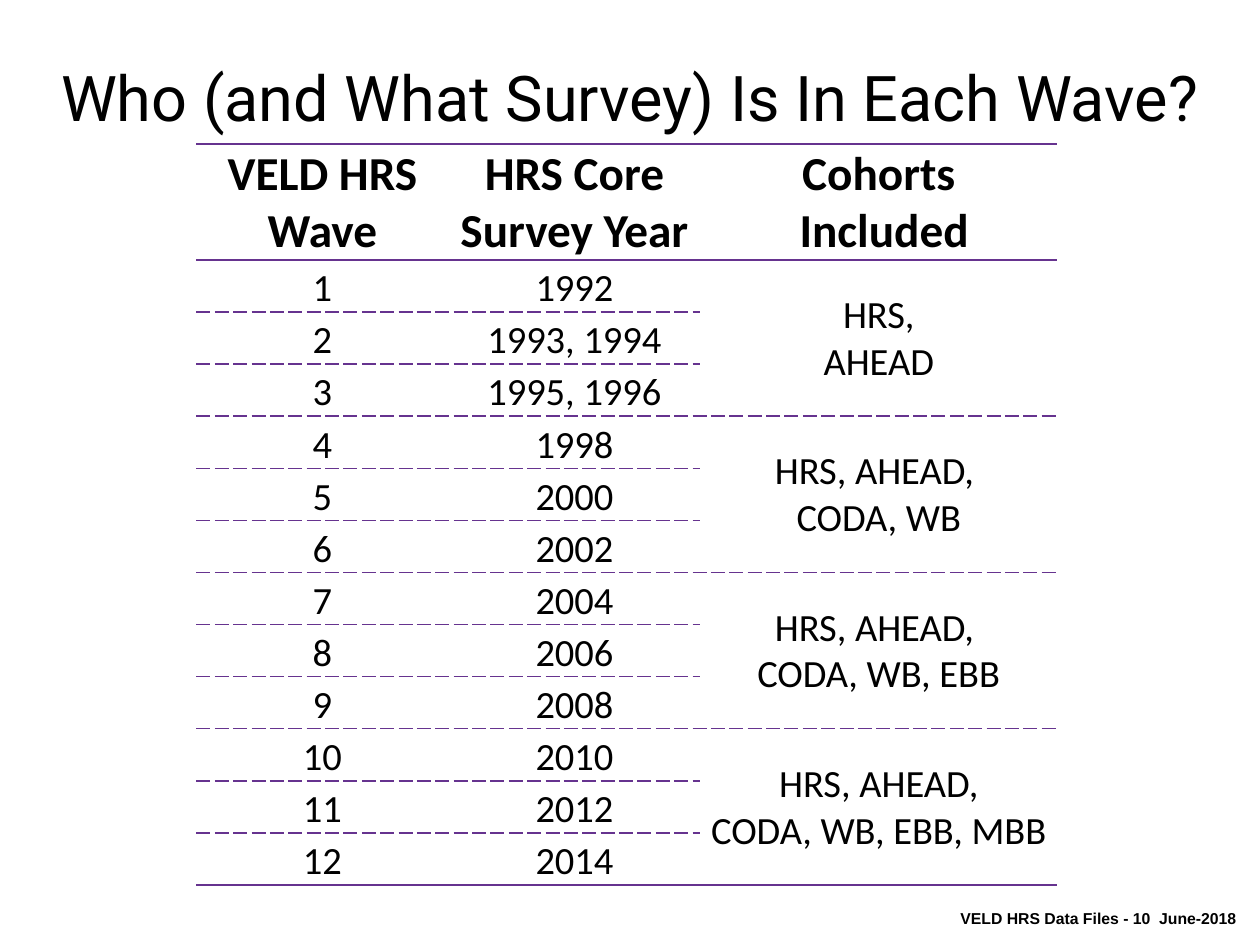
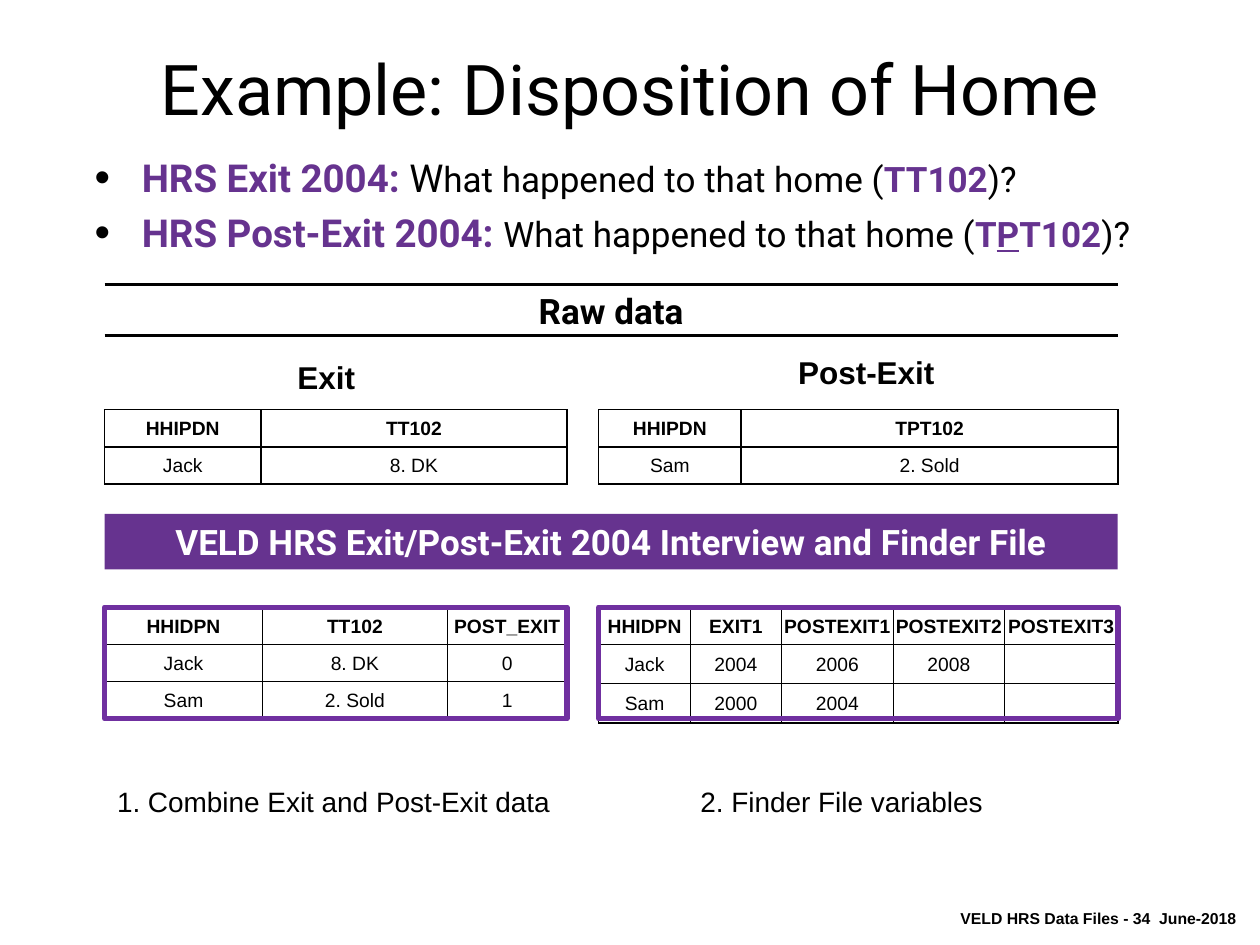
"""Build two slides on survey waves and exit interview files."""
from dataclasses import dataclass, replace
from typing import NamedTuple, Optional

from lxml.etree import SubElement
from pptx import Presentation
from pptx.dml.color import RGBColor
from pptx.enum.shapes import MSO_CONNECTOR, MSO_SHAPE
from pptx.enum.text import MSO_ANCHOR, MSO_AUTO_SIZE, PP_ALIGN
from pptx.oxml.ns import qn
from pptx.util import Cm, Pt

BLACK, WHITE, PURPLE, FRAME = "000000", "FFFFFF", "66338F", "7030A0"


@dataclass(frozen=True)
class TypeStyle:
    name: str
    size: float
    bold: bool = False
    color: str = BLACK
    underline: bool = False


@dataclass(frozen=True)
class Theme:
    title: TypeStyle = TypeStyle("Roboto", 36)
    large_title: TypeStyle = TypeStyle("Roboto", 40)
    footer: TypeStyle = TypeStyle("Arial", 9, True)
    wave_head: TypeStyle = TypeStyle("Calibri", 27, True)
    wave_body: TypeStyle = TypeStyle("Calibri", 22)
    lead: TypeStyle = TypeStyle("Roboto", 22, True, PURPLE)
    initial: TypeStyle = TypeStyle("Roboto", 22)
    question: TypeStyle = TypeStyle("Roboto", 20)
    variable: TypeStyle = TypeStyle("Roboto", 20, True, PURPLE)
    band: TypeStyle = TypeStyle("Roboto", 20, True)
    group: TypeStyle = TypeStyle("Arial", 18, True)
    note: TypeStyle = TypeStyle("Arial", 16)
    data_head: TypeStyle = TypeStyle("Arial", 11, True)
    data_body: TypeStyle = TypeStyle("Arial", 11)


THEME = Theme()


class Span(NamedTuple):
    text: str
    style: TypeStyle


class Area(NamedTuple):
    left: float
    top: float
    width: float
    height: float

    def lengths(self) -> list:
        return [Cm(value) for value in self]


class Edge(NamedTuple):
    color: str
    dash: str = "solid"


class Label(NamedTuple):
    text: str
    area: Area
    style: TypeStyle
    align: PP_ALIGN = PP_ALIGN.CENTER


class DataTable(NamedTuple):
    left: float
    top: float
    columns: tuple
    rows: tuple
    framed: bool = False


NO_INSETS = dict.fromkeys(("margin_left", "margin_top", "margin_right", "margin_bottom"), 0)
CELL_INSETS = {"margin_left": Cm(0.03), "margin_right": Cm(0.03),
               "margin_top": Cm(0.03), "margin_bottom": 0}
PLAIN_TABLE = {"first_row": False, "horz_banding": False}
SOLID, DASHED, GRID = Edge(PURPLE), Edge(PURPLE, "dash"), Edge(BLACK)

WAVE_HEADINGS = ("VELD HRS Wave", "HRS Core Survey Year", "Cohorts\n Included")
SURVEY_YEARS = ("1992", "1993, 1994", "1995, 1996", "1998", "2000", "2002",
                "2004", "2006", "2008", "2010", "2012", "2014")
COHORTS = ("HRS,\nAHEAD", "HRS, AHEAD, \nCODA, WB", "HRS, AHEAD, \nCODA, WB, EBB",
           "HRS, AHEAD,\nCODA, WB, EBB, MBB")
WAVES_PER_COHORT = 3

LEFT, RIGHT_HALF, FULL_WIDTH = 2.11, 12.07, 20.42
RULE_TOPS = (5.74, 6.76)
DATA_ROW = 0.75
LABELS = (
    Label("Exit", Area(3.38, 7.09, 6.4, 1.02), THEME.group),
    Label("Post-Exit", Area(15.24, 6.99, 4.45, 1.02), THEME.group),
    Label("Raw data", Area(LEFT, 5.72, FULL_WIDTH, 1.12), THEME.band),
    Label("1. Combine Exit and Post-Exit data", Area(LEFT, 15.7, 9.32, 0.94),
          THEME.note, PP_ALIGN.LEFT),
    Label("2. Finder File variables", Area(13.87, 15.7, 7.19, 0.94),
          THEME.note, PP_ALIGN.LEFT),
)
DATA_TABLES = (
    DataTable(LEFT, 8.26, (3.15, 6.17), (("HHIPDN", "TT102"), ("Jack", "8. DK"))),
    DataTable(RIGHT_HALF, 8.26, (2.87, 7.6), (("HHIPDN", "TPT102"), ("Sam", "2. Sold"))),
    DataTable(LEFT, 12.24, (3.18, 3.73, 2.41),
              (("HHIDPN", "TT102", "POST_EXIT"), ("Jack", "8. DK", "0"),
               ("Sam", "2. Sold", "1")), True),
    DataTable(RIGHT_HALF, 12.24, (1.85, 1.83, 2.26, 2.24, 2.29),
              (("HHIDPN", "EXIT1", "POSTEXIT1", "POSTEXIT2", "POSTEXIT3"),
               ("Jack", "2004", "2006", "2008", ""), ("Sam", "2000", "2004", "", "")), True),
)
QUESTIONS = (
    (Span("HRS Exit 2004: ", THEME.lead), Span("W", THEME.initial),
     Span("hat happened to that home (", THEME.question),
     Span("TT102", THEME.variable), Span(")?", THEME.question)),
    (Span("HRS Post-Exit 2004: ", THEME.lead),
     Span("What happened to that home (", THEME.question), Span("T", THEME.variable),
     Span("P", replace(THEME.variable, underline=True)), Span("T102", THEME.variable),
     Span(")?", THEME.question)),
)


def apply_format(target, values: dict) -> None:
    """Set each named attribute on the target."""
    for name, value in values.items():
        setattr(target, name, value)


def add_span(para, span: Span) -> None:
    """Add styled text, breaking lines where the text does."""
    style = span.style
    for index, line in enumerate(span.text.split("\n")):
        if index:
            para.add_line_break()
        run = para.add_run()
        run.text = line
        apply_format(run.font, {"name": style.name, "size": Pt(style.size),
                                "bold": style.bold, "underline": style.underline})
        run.font.color.rgb = RGBColor.from_string(style.color)


def write(frame, span: Span, align: PP_ALIGN) -> None:
    """Fill the first paragraph of a text frame."""
    para = frame.paragraphs[0]
    para.alignment = align
    add_span(para, span)


def add_label(page, label: Label, wrap: bool = True):
    """Add a text box and return it."""
    box = page.shapes.add_textbox(*label.area.lengths())
    box.text_frame.word_wrap = wrap
    write(box.text_frame, Span(label.text, label.style), label.align)
    return box


def add_page(deck, title: str, style: TypeStyle, top: float, number: int):
    """Add a slide with its title and footer."""
    page = deck.slides.add_slide(deck.slide_layouts[5])
    box = page.shapes.title
    left, top_length, width, height = Area(0, top, 25.4, 1.7).lengths()
    apply_format(box, {"left": left, "top": top_length, "width": width, "height": height})
    apply_format(box.text_frame, {**NO_INSETS, "word_wrap": True,
                                  "auto_size": MSO_AUTO_SIZE.NONE,
                                  "vertical_anchor": MSO_ANCHOR.MIDDLE})
    write(box.text_frame, Span(title, style), PP_ALIGN.CENTER)
    footer = Label(f"VELD HRS Data Files - {number}  June-2018",
                   Area(18.95, 18.24, 6.22, 0.61), THEME.footer, PP_ALIGN.RIGHT)
    add_label(page, footer, wrap=False).text_frame.paragraphs[0].line_spacing = 0.9
    return page


def set_borders(cell, edges: dict[str, Optional[Edge]]) -> None:
    """Draw the given cell edges and clear the others."""
    properties = cell._tc.get_or_add_tcPr()
    for side in "LRTB":
        edge = edges.get(side)
        line = SubElement(properties, qn(f"a:ln{side}"), w=str(Pt(1)))
        if edge is None:
            SubElement(line, qn("a:noFill"))
            continue
        fill = SubElement(line, qn("a:solidFill"))
        SubElement(fill, qn("a:srgbClr"), val=edge.color)
        SubElement(line, qn("a:prstDash"), val=edge.dash)


def add_grid(page, left: float, top: float, columns: tuple, heights: list):
    """Add an unstyled table and return it."""
    area = Area(left, top, sum(columns), sum(heights))
    table = page.shapes.add_table(len(heights), len(columns), *area.lengths()).table
    apply_format(table, PLAIN_TABLE)
    for column, width in zip(table.columns, columns):
        column.width = Cm(width)
    for row, height in zip(table.rows, heights):
        row.height = Cm(height)
    return table


def fill_cell(cell, span: Span, anchor: MSO_ANCHOR, edges: dict[str, Optional[Edge]]) -> None:
    """Write and format one table cell."""
    apply_format(cell, {**CELL_INSETS, "vertical_anchor": anchor})
    write(cell.text_frame, span, PP_ALIGN.CENTER)
    set_borders(cell, edges)
    cell.fill.background()


def add_wave_table(page) -> None:
    """Add the table of waves, survey years and cohorts."""
    count = len(SURVEY_YEARS)
    table = add_grid(page, 3.96, 2.9, (5.08, 5.08, 7.19), [2.34] + [1.05] * count)
    for column, heading in enumerate(WAVE_HEADINGS):
        fill_cell(table.cell(0, column), Span(heading, THEME.wave_head),
                  MSO_ANCHOR.BOTTOM, {"T": SOLID, "B": SOLID})
    for wave, years in enumerate(SURVEY_YEARS, 1):
        edges = {"T": SOLID if wave == 1 else DASHED, "B": SOLID if wave == count else DASHED}
        for column, text in enumerate((str(wave), years)):
            fill_cell(table.cell(wave, column), Span(text, THEME.wave_body),
                      MSO_ANCHOR.BOTTOM, edges)
    for index, cohort in enumerate(COHORTS):
        first = 1 + index * WAVES_PER_COHORT
        last = first + WAVES_PER_COHORT - 1
        cell = table.cell(first, 2)
        cell.merge(table.cell(last, 2))
        fill_cell(cell, Span(cohort, THEME.wave_body), MSO_ANCHOR.MIDDLE,
                  {"T": DASHED if index else SOLID, "B": SOLID if last == count else DASHED})


def add_rectangle(page, area: Area):
    """Add a rectangle without a shadow and return it."""
    box = page.shapes.add_shape(MSO_SHAPE.RECTANGLE, *area.lengths())
    box.shadow.inherit = False
    return box


def add_data_table(page, data: DataTable) -> None:
    """Add a gridded data table."""
    table = add_grid(page, data.left, data.top, data.columns, [DATA_ROW] * len(data.rows))
    for row, texts in enumerate(data.rows):
        style = THEME.data_body if row else THEME.data_head
        for column, text in enumerate(texts):
            fill_cell(table.cell(row, column), Span(text, style), MSO_ANCHOR.MIDDLE,
                      dict.fromkeys("LRTB", GRID))


def add_frame(page, data: DataTable) -> None:
    """Outline a data table."""
    frame = add_rectangle(page, Area(data.left, data.top, sum(data.columns),
                                     DATA_ROW * len(data.rows)))
    frame.fill.background()
    frame.line.color.rgb = RGBColor.from_string(FRAME)
    frame.line.width = Pt(3)


def add_rule(page, top: float) -> None:
    """Add a full-width horizontal rule."""
    rule = page.shapes.add_connector(MSO_CONNECTOR.STRAIGHT, Cm(LEFT), Cm(top),
                                     Cm(LEFT + FULL_WIDTH), Cm(top))
    rule.line.color.rgb = RGBColor.from_string(BLACK)
    rule.line.width = Pt(1.5)
    SubElement(rule._element.spPr, qn("a:effectLst"))


def add_questions(page) -> None:
    """Add the bulleted interview questions."""
    box = page.shapes.add_textbox(*Area(1.91, 3.1, 21.77, 1.98).lengths())
    frame = box.text_frame
    apply_format(frame, {**NO_INSETS, "word_wrap": True})
    for index, spans in enumerate(QUESTIONS):
        para = frame.add_paragraph() if index else frame.paragraphs[0]
        para.space_before = Pt(5)
        properties = para._p.get_or_add_pPr()
        properties.set("marL", str(Cm(0.95)))
        properties.set("indent", str(Cm(-0.95)))
        color = SubElement(properties, qn("a:buClr"))
        SubElement(color, qn("a:srgbClr"), val=BLACK)
        SubElement(properties, qn("a:buSzPct"), val="115000")
        SubElement(properties, qn("a:buFont"), typeface="Arial")
        SubElement(properties, qn("a:buChar"), char="•")
        for span in spans:
            add_span(para, span)


def add_banner(page) -> None:
    """Add the filled heading above the combined files."""
    banner = add_rectangle(page, Area(LEFT, 10.36, FULL_WIDTH, 1.12))
    banner.fill.solid()
    banner.fill.fore_color.rgb = RGBColor.from_string(PURPLE)
    banner.line.fill.background()
    banner.text_frame.word_wrap = True
    write(banner.text_frame, Span("VELD HRS Exit/Post-Exit 2004 Interview and Finder File",
                                  replace(THEME.band, color=WHITE)), PP_ALIGN.CENTER)


def main() -> None:
    """Build and save the deck."""
    deck = Presentation()
    apply_format(deck, {"slide_width": Cm(25.4), "slide_height": Cm(19.05)})
    waves = add_page(deck, "Who (and What Survey) Is In Each Wave?", THEME.title, 1.09, 10)
    add_wave_table(waves)
    example = add_page(deck, "Example: Disposition of Home", THEME.large_title, 0.91, 34)
    add_questions(example)
    for label in LABELS:
        add_label(example, label)
    for top in RULE_TOPS:
        add_rule(example, top)
    add_banner(example)
    for data in DATA_TABLES:
        add_data_table(example, data)
        if data.framed:
            add_frame(example, data)
    deck.save("out.pptx")


if __name__ == "__main__":
    main()
